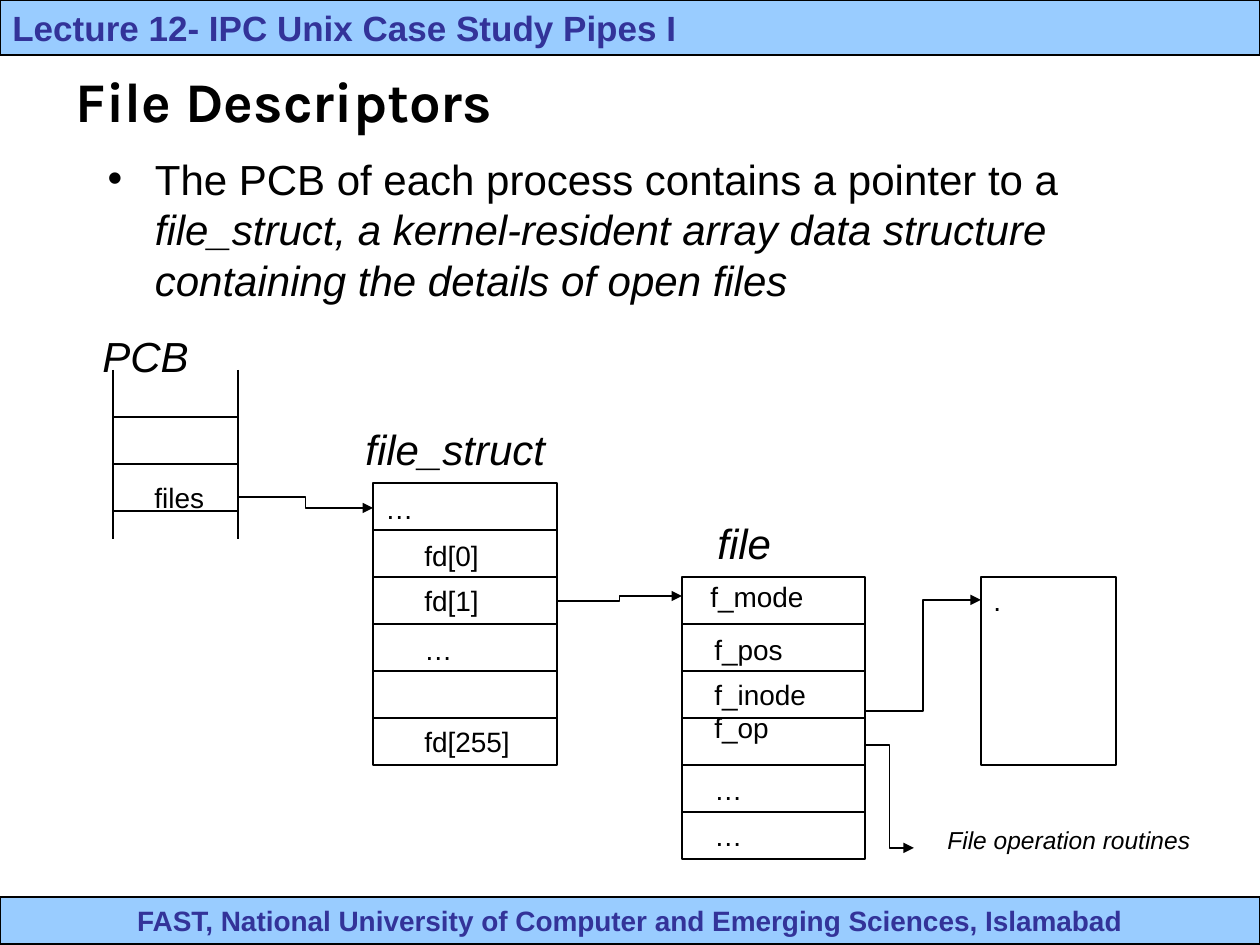
from lxml.etree import SubElement
from pptx import Presentation
from pptx.dml.color import RGBColor
from pptx.enum.shapes import MSO_CONNECTOR, MSO_SHAPE
from pptx.enum.text import MSO_ANCHOR, MSO_AUTO_SIZE, PP_ALIGN
from pptx.oxml.ns import qn
from pptx.util import Emu, Inches, Pt

BLACK, NAVY, SKY = "000000", "333399", "99CCFF"
ROW = 47


def px(n):
    return Emu(round(n * 914400 / 126))


def rgb(color):
    return RGBColor.from_string(color)


def style(p, size, color=BLACK, font="Arial", bold=False, italic=False):
    for r in p.runs:
        r.font.name = font
        r.font.size = Pt(size)
        r.font.bold = bold
        r.font.italic = italic
        r.font.color.rgb = rgb(color)


def place(sp, x, y, w, h):
    sp.left, sp.top, sp.width, sp.height = px(x), px(y), px(w), px(h)


def add_box(s, x, y, w, h, fill=None):
    sp = s.shapes.add_shape(MSO_SHAPE.RECTANGLE, px(x), px(y), px(w), px(h))
    sp.shadow.inherit = False
    if fill:
        sp.fill.solid()
        sp.fill.fore_color.rgb = rgb(fill)
    else:
        sp.fill.background()
    sp.line.color.rgb = rgb(BLACK)
    sp.line.width = Pt(0.75)
    return sp


def add_bar(s, y, h, text, size, align):
    tf = add_box(s, 0, y, 1260, h, SKY).text_frame
    tf.text = text
    tf.vertical_anchor = MSO_ANCHOR.MIDDLE
    tf.paragraphs[0].alignment = align
    style(tf.paragraphs[0], size, NAVY, bold=True)


def add_line(s, x1, y1, x2, y2, kind=MSO_CONNECTOR.STRAIGHT):
    line = s.shapes.add_connector(kind, px(x1), px(y1), px(x2), px(y2))
    line.line.color.rgb = rgb(BLACK)
    line.line.width = Pt(0.75)
    SubElement(line._element.spPr, qn("a:effectLst"))
    return line


def add_arrow(s, x1, y1, x2, y2):
    arrow = add_line(s, x1, y1, x2, y2, MSO_CONNECTOR.ELBOW)
    SubElement(arrow.line._get_or_add_ln(), qn("a:tailEnd"), type="triangle")


def add_label(s, x, y, w, h, text, size=16, italic=False):
    tf = s.shapes.add_textbox(px(x), px(y), px(w), px(h)).text_frame
    tf.word_wrap = True
    tf.text = text
    for p in tf.paragraphs:
        style(p, size, italic=italic)


def add_rows(s, x, y, w, count):
    """Draw the dividers below the first `count` rows."""
    for i in range(1, count + 1):
        add_line(s, x, y + i * ROW, x + w, y + i * ROW)


def add_record(s, x, y, w, rows=6):
    add_box(s, x, y, w, rows * ROW)
    add_rows(s, x, y, w, rows - 1)


def fill_placeholders(s):
    title, body = s.placeholders
    place(title, 63, 21, 1134, 158)
    tf = title.text_frame
    tf.text = "File Descriptors"
    tf.vertical_anchor = MSO_ANCHOR.MIDDLE
    tf.paragraphs[0].alignment = PP_ALIGN.LEFT
    style(tf.paragraphs[0], 32, font="Karla", bold=True)

    place(body, 95, 147, 1081, 725)
    tf = body.text_frame
    tf.auto_size = MSO_AUTO_SIZE.NONE
    p = tf.paragraphs[0]
    p.space_before = Pt(0)
    p.add_run().text = "The PCB of each process contains a pointer to a "
    p.add_run().text = ("file_struct, a kernel-resident array data structure "
                        "containing the details of open files")
    style(p, 24)
    p.runs[1].font.italic = True


def draw_structures(s):
    for x in (113, 238):
        add_line(s, x, 370, x, 539)
    add_rows(s, 113, 370, 125, 3)
    add_record(s, 373, 483, 184)
    add_record(s, 682, 577, 183)
    add_box(s, 981, 577, 135, 4 * ROW)


def add_labels(s):
    for x, y, w, text in [
        (142, 474, 97, "files"),
        (373, 485, 97, "…"),
        (412, 532, 97, "fd[0]"),
        (412, 577, 145, "fd[1]"),
        (412, 626, 97, "…"),
        (412, 718, 125, "fd[255]"),
        (698, 573, 145, "f_mode"),
        (702, 626, 125, "f_pos"),
        (702, 766, 125, "…"),
        (702, 812, 125, "…"),
        (981, 577, 174, "."),
    ]:
        add_label(s, x, y, w, ROW, text)
    add_label(s, 702, 671, 163, 80, "f_inode\nf_op")
    for x, y, w, text in [(90, 324, 125, "PCB"), (353, 417, 220, "file_struct"),
                          (705, 511, 92, "file")]:
        add_label(s, x, y, w, 63, text, 24, italic=True)
    add_label(s, 935, 819, 284, 43, "File operation routines", 14, italic=True)


def main():
    prs = Presentation()
    prs.slide_width, prs.slide_height = Inches(10), Inches(7.5)
    s = prs.slides.add_slide(prs.slide_layouts[1])
    fill_placeholders(s)
    add_bar(s, 897, 47, "FAST, National University of Computer and Emerging "
            "Sciences, Islamabad", 16, PP_ALIGN.CENTER)
    add_bar(s, 0, 55, "Lecture 12- IPC Unix Case Study Pipes I", 20, PP_ALIGN.LEFT)
    draw_structures(s)
    add_labels(s)
    for ends in [(238, 497, 373, 508), (557, 601, 682, 596),
                 (865, 711, 981, 600), (865, 745, 914, 848)]:
        add_arrow(s, *ends)
    prs.save("out.pptx")


if __name__ == "__main__":
    main()
